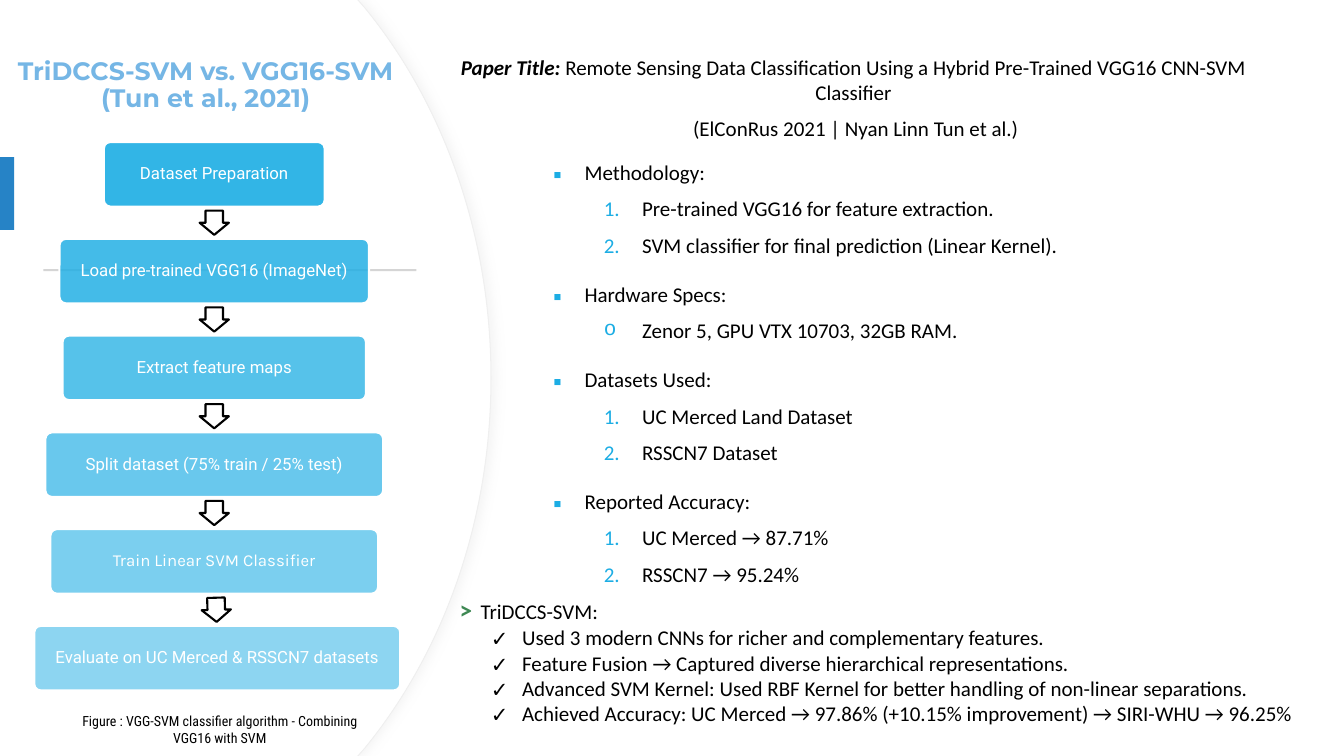
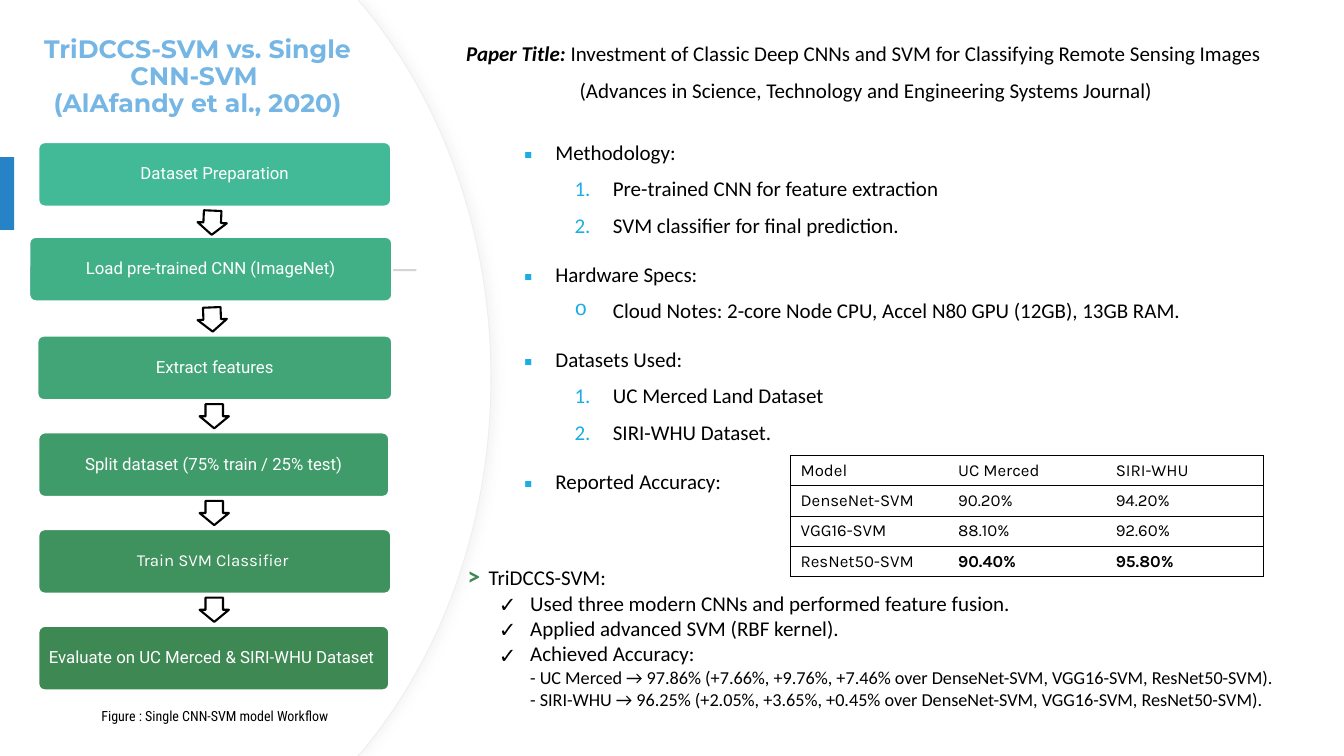
"""Build two slides that compare TriDCCS-SVM with earlier CNN-SVM papers."""
import copy

import lxml.etree
import pptx
import pptx.dml.color
import pptx.enum.shapes
import pptx.enum.text
import pptx.oxml.ns
import pptx.util

Inches, Pt = pptx.util.Inches, pptx.util.Pt
qn = pptx.oxml.ns.qn
SHAPE = pptx.enum.shapes.MSO_SHAPE
ALIGN = pptx.enum.text.PP_ALIGN
ANCHOR = pptx.enum.text.MSO_ANCHOR


class Theme:
    """Colours, fonts and type sizes."""
    white, black = "FFFFFF", "000000"
    title, tab, rule, edge, shade = "75B6E5", "2683C6", "D5D5D5", "EFEFEF", "D9D9D9"
    accent, green = "1CADE4", "3E8853"
    title_font, body_font, caption_font, table_font = "Montserrat", "Calibri", "Roboto Condensed", "Karla"
    bullet_fonts = {"▪": "Noto Sans Symbols", "✓": "Noto Sans Symbols", "o": "Courier New"}
    step_fonts = ["Roboto"] * 4 + ["Karla", "Roboto"]
    title_size, body_size, detail_size, small_size, caption_size = 18, 15, 13, 12, 10


SLIDES = [
    {
        "title": ("TriDCCS-SVM vs. VGG16-SVM (Tun et al., 2021)", (-0.06, 0.26, 4.2, 1.19)),
        "caption": ("Figure : VGG-SVM classifier algorithm - Combining VGG16 with SVM", (0.7, 7.02, 2.96, 0.44)),
        "steps": [
            ("Dataset Preparation", 1.03, 2.19),
            ("Load pre-trained VGG16 (ImageNet)", 0.59, 3.07),
            ("Extract feature maps", 0.62, 3.01),
            ("Split dataset (75% train / 25% test)", 0.45, 3.35),
            ("Train Linear SVM Classifier", 0.5, 3.25),
            ("Evaluate on UC Merced & RSSCN7 datasets", 0.34, 3.63),
        ],
        "fills": [(Theme.accent, alpha) for alpha in range(90, 49, -8)],
        "raised": {},
        "tilts": {4: (0.02, -1.7)},
        "paper": ("Remote Sensing Data Classification Using a Hybrid Pre-Trained VGG16 CNN-SVM Classifier",
                  " (ElConRus 2021 | Nyan Linn Tun et al.)", (4.38, 0.38, 8.17, 1.18)),
        "outline": [
            ("Methodology:", "1.", ["Pre-trained VGG16 for feature extraction.",
                                    "SVM classifier for final prediction (Linear Kernel)."]),
            ("Hardware Specs:", "o", ["Zenor 5, GPU VTX 10703, 32GB RAM."]),
            ("Datasets Used:", "1.", ["UC Merced Land Dataset", "RSSCN7 Dataset"]),
            ("Reported Accuracy:", "1.", ["UC Merced → 87.71%", "RSSCN7 → 95.24%"]),
        ],
        "outline_at": (5.39, 1.41, 6.8, 4.56),
        "gains": [
            "Used 3 modern CNNs for richer and complementary features.",
            "Feature Fusion → Captured diverse hierarchical representations.",
            "Advanced SVM Kernel: Used RBF Kernel for better handling of non-linear separations.",
            "Achieved Accuracy: UC Merced → 97.86% (+10.15% improvement) → SIRI-WHU → 96.25%",
        ],
        "gains_at": (4.27, 5.85, 9.1, 1.43),
    },
    {
        "title": ("TriDCCS-SVM vs. Single CNN-SVM \v(AlAfandy et al., 2020)", (0.13, 0.17, 3.66, 1.19)),
        "caption": ("Figure : Single CNN-SVM model Workflow", (0.76, 6.97, 2.74, 0.27)),
        "steps": [
            ("Dataset Preparation", 0.38, 3.5),
            ("Load pre-trained CNN (ImageNet)", 0.29, 3.6),
            ("Extract features", 0.37, 3.52),
            ("Split dataset (75% train / 25% test)", 0.38, 3.48),
            ("Train SVM Classifier ", 0.38, 3.5),
            ("Evaluate on UC Merced & SIRI-WHU Dataset ", 0.38, 3.48),
        ],
        "fills": [(c, 100) for c in ("42BA97", "42B086", "41A577", "409B6A", "3F925E", Theme.green)],
        "raised": {1: 0.02},
        "tilts": {0: (-0.02, 2.4), 1: (-0.02, -2.3)},
        "paper": ("Investment of Classic Deep CNNs and SVM for Classifying Remote Sensing Images",
                  " (Advances in Science, Technology and Engineering Systems Journal)",
                  (4.35, 0.23, 8.43, 0.96)),
        "outline": [
            ("Methodology:", "1.", ["Pre-trained CNN for feature extraction",
                                    "SVM classifier for final prediction."]),
            ("Hardware Specs:", "o", ["Cloud Notes: 2-core Node CPU, Accel N80 GPU (12GB), 13GB RAM."]),
            ("Datasets Used:", "1.", ["UC Merced Land Dataset", "SIRI-WHU Dataset."]),
            ("Reported Accuracy:", "1.", []),
        ],
        "outline_at": (5.1, 1.21, 7.68, 3.77),
        "gains": [
            "Used three modern CNNs and performed feature fusion.",
            "Applied advanced SVM (RBF kernel).",
            "Achieved Accuracy: "
            "\v- UC Merced → 97.86% (+7.66%, +9.76%, +7.46% over DenseNet-SVM, VGG16-SVM, ResNet50-SVM)."
            "\v- SIRI-WHU → 96.25% (+2.05%, +3.65%, +0.45% over DenseNet-SVM, VGG16-SVM, ResNet50-SVM).",
        ],
        "gains_at": (4.35, 5.51, 9.1, 1.6),
        "table": [
            ("Model", "UC Merced", "SIRI-WHU"),
            ("DenseNet-SVM", "90.20%", "94.20%"),
            ("VGG16-SVM", "88.10%", "92.60%"),
            ("ResNet50-SVM", "90.40%", "95.80%"),
        ],
    },
]


def rgb(color):
    return pptx.dml.color.RGBColor.from_string(color)


def sub(parent, tag, **attrs):
    return lxml.etree.SubElement(parent, qn(tag), {k: str(v) for k, v in attrs.items()})


def box(at):
    return [Inches(v) for v in at]


def style_run(r, size, font, color=Theme.black, bold=False):
    r.font.size, r.font.name, r.font.bold = Pt(size), font, bold
    r.font.color.rgb = rgb(color)


def style_paragraph(p, size, font, color=Theme.black, bold=False, detail=None):
    for i, r in enumerate(p.runs):
        style_run(r, detail if detail and i else size, font, color, bold)
    for br in p._p.findall(qn("a:br")):
        br.append(copy.deepcopy(p.runs[-1]._r.rPr))


def space(p, after=0, lines=None, align=None):
    p.space_after, p.alignment = Pt(after), align
    if lines:
        p.line_spacing = lines


def bullet(p, mark, left, hang, level=0, color=None):
    p.level = level
    ppr = p._p.get_or_add_pPr()
    ppr.set("marL", str(Inches(left)))
    ppr.set("indent", str(-Inches(hang)))
    if color:
        sub(sub(ppr, "a:buClr"), "a:srgbClr", val=color)
    if mark == "1.":
        sub(ppr, "a:buAutoNum", type="arabicPeriod")
    else:
        sub(ppr, "a:buFont", typeface=Theme.bullet_fonts[mark])
        sub(ppr, "a:buChar", char=mark)


def add_text(s, at, anchor=ANCHOR.TOP):
    tf = s.shapes.add_textbox(*box(at)).text_frame
    tf.word_wrap, tf.vertical_anchor = True, anchor
    return tf


def next_paragraph(tf, text):
    p = tf.paragraphs[0] if not tf.paragraphs[0].runs else tf.add_paragraph()
    p.text = text
    return p


def paint(sp, fill, line=None, width=1.5, alpha=100):
    sp.fill.solid()
    sp.fill.fore_color.rgb = rgb(fill)
    if alpha < 100:
        sub(sp._element.spPr.find(".//" + qn("a:srgbClr")), "a:alpha", val=alpha * 1000)
    if line:
        sp.line.color.rgb, sp.line.width = rgb(line), Pt(width)
    else:
        sp.line.fill.background()
    sp.shadow.inherit = False


def add_shape(s, kind, at, *look, **more):
    sp = s.shapes.add_shape(kind, *box(at))
    paint(sp, *look, **more)
    return sp


def add_panel(s, shift, line=None):
    upper = [(x + shift, y) for x, y in ((3.55, 0), (3.62, 0.08), (4.39, 1.02), (4.87, 2.32))]
    middle = (4.87 + shift, 3.75)
    lower = [(x, 7.5 - y) for x, y in reversed(upper)]
    corners = [*upper[:2], middle, *lower[2:], (0, 7.5)]
    builder = s.shapes.build_freeform(0, 0)
    builder.add_line_segments([box(pt) for pt in corners], close=True)
    sp = builder.convert_to_shape()
    sides = sp._element.spPr.findall(".//" + qn("a:lnTo"))[2:4]
    for side, curve in zip(sides, (upper[2:] + [middle], lower[:3])):
        side.tag = qn("a:cubicBezTo")
        side.remove(side[0])
        for x, y in curve:
            sub(side, "a:pt", x=Inches(x), y=Inches(y))
    paint(sp, Theme.white, line, 0.75)
    return sp


def add_frame(s, title, caption):
    panel = add_panel(s, 0, Theme.edge)
    effects = panel._element.spPr.find(qn("a:effectLst"))
    shadow = sub(effects, "a:outerShdw", blurRad=Pt(7), dist=Pt(3), dir=0, algn="l", rotWithShape=0)
    sub(sub(shadow, "a:srgbClr", val=Theme.shade), "a:alpha", val=25000)
    add_panel(s, -0.01)
    p = next_paragraph(add_text(s, title[1], ANCHOR.MIDDLE), title[0])
    space(p, 6, 0.9, ALIGN.CENTER)
    style_paragraph(p, Theme.title_size, Theme.title_font, Theme.title, bold=True)
    add_shape(s, SHAPE.RECTANGLE, (0, 1.56, 0.14, 0.72), Theme.tab)
    add_shape(s, SHAPE.RECTANGLE, (0.43, 2.67, 3.7, 0.02), Theme.rule)
    p = next_paragraph(add_text(s, caption[1]), caption[0])
    space(p, 10, align=ALIGN.CENTER)
    style_paragraph(p, Theme.caption_size, Theme.caption_font)


def add_workflow(s, steps, fills, raised, tilts):
    top, pitch, height = 1.41, 0.96, 0.64
    for i, ((text, left, width), (color, alpha)) in enumerate(zip(steps, fills)):
        y = top + i * pitch
        at = (left, y - raised.get(i, 0), width, height)
        sp = add_shape(s, SHAPE.ROUNDED_RECTANGLE, at, color, Theme.white, alpha=alpha)
        sp.adjustments[0] = 0.1
        tf = sp.text_frame
        tf.margin_left = tf.margin_right = tf.margin_top = tf.margin_bottom = Inches(0.05)
        tf.word_wrap, tf.vertical_anchor = True, ANCHOR.MIDDLE
        p = next_paragraph(tf, text)
        space(p, 0, 0.9, ALIGN.CENTER)
        style_paragraph(p, Theme.small_size, Theme.step_fonts[i], Theme.white)
        if i < len(steps) - 1:
            shift, tilt = tilts.get(i, (0, 0))
            arrow = add_shape(s, SHAPE.DOWN_ARROW, (1.98 + shift, y + height + 0.04, 0.29, 0.24),
                              Theme.white, Theme.black)
            arrow.adjustments[0], arrow.adjustments[1] = 0.6, 0.5
            arrow.rotation = tilt


def add_paper(s, name, venue, at):
    tf = add_text(s, at, ANCHOR.MIDDLE)
    tf.margin_left = tf.margin_right = 0
    for text in ("Paper Title: ", venue):
        p = next_paragraph(tf, text)
        space(p, 8, align=ALIGN.CENTER)
        style_paragraph(p, Theme.body_size, Theme.body_font)
    p = tf.paragraphs[0]
    p.runs[0].font.bold = p.runs[0].font.italic = True
    r = p.add_run()
    r.text = name
    style_run(r, Theme.body_size, Theme.body_font)


def add_outline(s, sections, at):
    tf = add_text(s, at)
    for heading, mark, items in sections:
        p = next_paragraph(tf, heading)
        bullet(p, "▪", 0.31, 0.31, color=Theme.accent)
        space(p, 8, 1.5)
        style_paragraph(p, Theme.body_size, Theme.body_font)
        for item in items:
            p = next_paragraph(tf, item)
            bullet(p, mark, 0.88, 0.38, 1, Theme.accent)
            space(p, 8)
            style_paragraph(p, Theme.body_size, Theme.body_font)


def add_gains(s, gains, at):
    tf = add_text(s, at)
    p = next_paragraph(tf, "> ")
    p._p.get_or_add_pPr().set("marL", str(Inches(0.19)))
    style_paragraph(p, Theme.title_size, Theme.body_font, Theme.green, bold=True)
    p.runs[0]._r.get_or_add_rPr().set("spc", "100")
    r = p.add_run()
    r.text = "TriDCCS-SVM:"
    style_run(r, Theme.body_size, Theme.body_font)
    for gain in gains:
        p = next_paragraph(tf, gain)
        bullet(p, "✓", 0.81, 0.31, 1)
        style_paragraph(p, Theme.body_size, Theme.body_font, detail=Theme.detail_size)


def add_results(s, rows):
    cols, height = len(rows[0]), 0.3
    frame = s.shapes.add_table(len(rows), cols, *box((7.84, 4.52, 4.69, height * len(rows))))
    table = frame.table
    table.first_row = table.horz_banding = False
    for i, row in enumerate(rows):
        table.rows[i].height = Inches(height)
        for j, text in enumerate(row):
            cell = table.cell(i, j)
            cell.text, cell.vertical_anchor = text, ANCHOR.MIDDLE
            drawn = {"L": j == 0, "R": j == cols - 1, "T": True, "B": True}
            for side, shown in drawn.items():
                line = sub(cell._tc.get_or_add_tcPr(), "a:ln" + side, w=Pt(1))
                if shown:
                    sub(sub(line, "a:solidFill"), "a:srgbClr", val=Theme.black)
                else:
                    sub(line, "a:noFill")
            cell.fill.solid()
            cell.fill.fore_color.rgb = rgb(Theme.white)
            best = i == len(rows) - 1 and j > 0
            style_paragraph(cell.text_frame.paragraphs[0], Theme.small_size, Theme.table_font, bold=best)


def main():
    prs = pptx.Presentation()
    prs.slide_width, prs.slide_height = Inches(13.33), Inches(7.5)
    for content in SLIDES:
        s = prs.slides.add_slide(prs.slide_layouts[6])
        add_frame(s, content["title"], content["caption"])
        add_workflow(s, *(content[key] for key in ("steps", "fills", "raised", "tilts")))
        add_paper(s, *content["paper"])
        add_outline(s, content["outline"], content["outline_at"])
        add_gains(s, content["gains"], content["gains_at"])
        if "table" in content:
            add_results(s, content["table"])
    prs.save("out.pptx")


if __name__ == "__main__":
    main()
